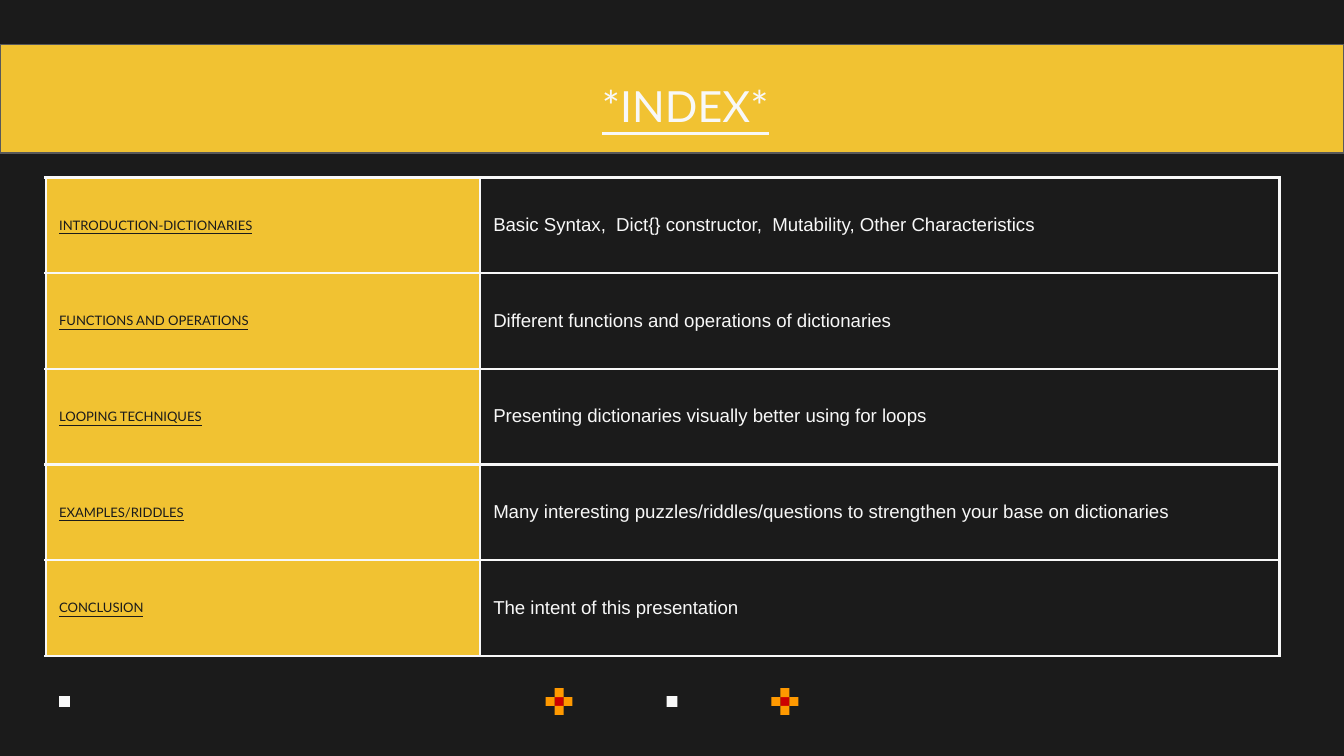
from collections import namedtuple

from lxml import etree
from pptx import Presentation
from pptx import util as u
from pptx.dml.color import RGBColor
from pptx.enum import shapes, text
from pptx.oxml.ns import qn

COLORS = {
    "dark": "1B1B1B",
    "light": "F8F8F8",
    "yellow": "F1C232",
    "outline": "595959",
    "petal": "FF9900",
    "core": "CC0000",
}
WIDTH = 10
HEIGHT = WIDTH * 9 / 16
ENTRIES = [
    ("INTRODUCTION-DICTIONARIES",
     "Basic Syntax,  Dict{} constructor,  Mutability, Other Characteristics"),
    ("FUNCTIONS AND OPERATIONS", "Different functions and operations of dictionaries"),
    ("LOOPING TECHNIQUES", "Presenting dictionaries visually better using for loops"),
    ("EXAMPLES/RIDDLES",
     "Many interesting puzzles/riddles/questions to strengthen your base on dictionaries"),
    ("CONCLUSION", "The intent of this presentation"),
]

Box = namedtuple("Box", "left top width height")


def color(name):
    return RGBColor.from_string(COLORS[name])


def lengths(box):
    return [u.Inches(value) for value in box]


def add_rectangle(slide, box, fill, outline=None):
    shape = slide.shapes.add_shape(shapes.MSO_SHAPE.RECTANGLE, *lengths(box))
    shape.shadow.inherit = False
    shape.fill.solid()
    shape.fill.fore_color.rgb = color(fill)
    if outline:
        shape.line.color.rgb = color(outline)
        shape.line.width = u.Pt(0.75)
    else:
        shape.line.fill.background()


def format_text(text_frame, font_name, size, fill, underline=False):
    for paragraph in text_frame.paragraphs:
        for run in paragraph.runs:
            run.font.name = font_name
            run.font.size = u.Pt(size)
            run.font.color.rgb = color(fill)
            run.font.underline = underline


def add_flower(slide, box):
    cell_width, cell_height = box.width / 3, box.height / 3
    for column, row in [(1, 1), (1, 0), (0, 1), (2, 1), (1, 2)]:
        cell = Box(box.left + column * cell_width, box.top + row * cell_height,
                   cell_width, cell_height)
        add_rectangle(slide, cell, "core" if column == row else "petal")


def add_footer(slide, box):
    square, flower = 0.08, 0.2
    middle = box.top + box.height / 2
    for share in (0.044, 0.496):
        add_rectangle(slide, Box(box.left + share * box.width, middle - square / 2,
                                 square, square), "light")
    for share in (0.406, 0.574):
        add_flower(slide, Box(box.left + share * box.width, middle - flower / 2,
                              flower, flower))


def add_banner(slide, box):
    add_rectangle(slide, box, "yellow", "outline")
    title = slide.shapes.title
    title.left, title.top, title.width, title.height = lengths(
        Box(box.left + 0.1, box.top + box.height * 0.2, box.width * 0.9, box.height * 0.63))
    slide.shapes._spTree.append(title._element)
    frame = title.text_frame
    frame.text = "*INDEX*"
    frame.auto_size = text.MSO_AUTO_SIZE.NONE
    frame.vertical_anchor = text.MSO_ANCHOR.TOP
    frame.margin_left = frame.margin_right = u.Inches(0.1)
    frame.margin_top = frame.margin_bottom = u.Inches(0.1)
    paragraph = frame.paragraphs[0]
    paragraph.alignment = text.PP_ALIGN.CENTER
    paragraph.line_spacing = 1.0
    paragraph.space_before = u.Pt(0)
    paragraph._p.get_or_add_pPr().set("marL", str(u.Inches(1)))
    format_text(frame, "Lato", 23, "light", True)


def add_cell_borders(cell):
    properties = cell._tc.get_or_add_tcPr()
    for index, side in enumerate(("a:lnL", "a:lnR", "a:lnT", "a:lnB")):
        line = etree.Element(qn(side), w=str(u.Pt(1.5)))
        fill = etree.SubElement(line, qn("a:solidFill"))
        etree.SubElement(fill, qn("a:srgbClr"), val=COLORS["light"])
        properties.insert(index, line)


def fill_cell(cell, content, font_name, size, text_color, fill, underline):
    cell.text_frame.text = content
    cell.vertical_anchor = text.MSO_ANCHOR.MIDDLE
    cell.margin_left = cell.margin_right = u.Inches(0.1)
    cell.margin_top = cell.margin_bottom = u.Inches(0.1)
    if fill:
        cell.fill.solid()
        cell.fill.fore_color.rgb = color(fill)
    else:
        cell.fill.background()
    add_cell_borders(cell)
    format_text(cell.text_frame, font_name, size, text_color, underline)


def add_index_table(slide, box):
    table = slide.shapes.add_table(len(ENTRIES), 2, *lengths(box)).table
    table.first_row = table.horz_banding = False
    topic_width = 3.23
    table.columns[0].width = u.Inches(topic_width)
    table.columns[1].width = u.Inches(box.width - topic_width)
    for row, (topic, summary) in enumerate(ENTRIES):
        fill_cell(table.cell(row, 0), topic, "Lato", 7, "dark", "yellow", True)
        fill_cell(table.cell(row, 1), summary, "Arial", 10, "light", None, False)


def main():
    presentation = Presentation()
    presentation.slide_width = u.Inches(WIDTH)
    presentation.slide_height = u.Inches(HEIGHT)
    slide = presentation.slides.add_slide(presentation.slide_layouts[5])
    slide.background.fill.solid()
    slide.background.fill.fore_color.rgb = color("dark")
    add_footer(slide, Box(0, 5.02, WIDTH, 0.4))
    add_banner(slide, Box(0, 0.33, WIDTH, 0.81))
    add_index_table(slide, Box(0.34, 1.32, 9.18, 3.56))
    presentation.save("out.pptx")


if __name__ == "__main__":
    main()
